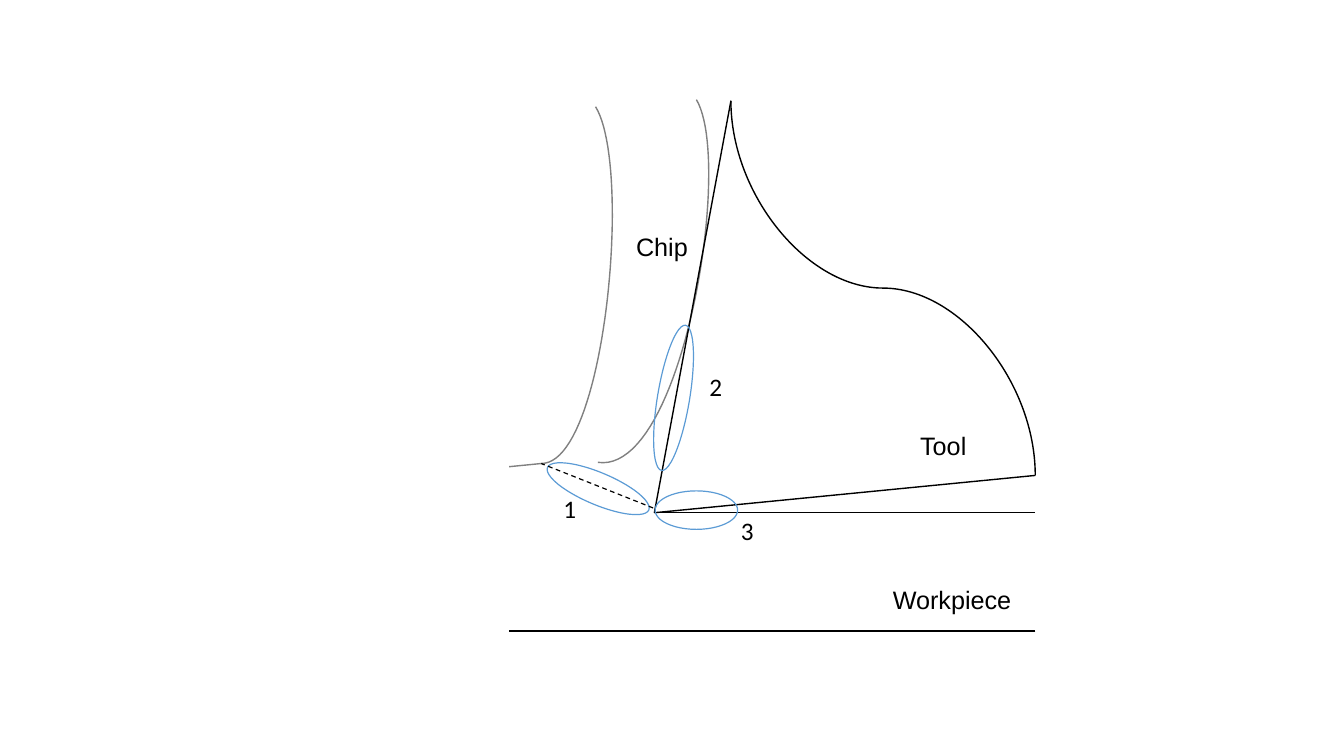
from pptx import Presentation
from pptx.dml.color import RGBColor
from pptx.enum.dml import MSO_LINE
from pptx.enum.shapes import MSO_CONNECTOR, MSO_SHAPE
from pptx.enum.text import MSO_AUTO_SIZE
from pptx.oxml.ns import qn
from pptx.util import Cm, Pt
from lxml import etree

STRAIGHT, CURVED = MSO_CONNECTOR.STRAIGHT, MSO_CONNECTOR.CURVE
ELLIPSE = MSO_SHAPE.OVAL
DASH = MSO_LINE.DASH
FIT_TEXT = MSO_AUTO_SIZE.SHAPE_TO_FIT_TEXT

COLORS = {"tool": "000000", "chip": "808080", "zone": "5B9BD5"}
THIN, NORMAL = 0.85, 1
CURVE_STEPS = 48


def style_line(line, color, width):
    line.color.rgb = RGBColor.from_string(COLORS[color])
    line.width = Pt(width)


def add_line(shapes, box, start, end, color="tool", width=NORMAL, kind=STRAIGHT):
    left, top = box
    edge = shapes.add_connector(kind, Cm(left + start[0]), Cm(top + start[1]),
                                Cm(left + end[0]), Cm(top + end[1]))
    style_line(edge.line, color, width)
    etree.SubElement(edge._element.spPr, qn("a:effectLst"))
    return edge


def bezier_point(controls, t):
    weights = ((1 - t) ** 3, 3 * t * (1 - t) ** 2, 3 * t ** 2 * (1 - t), t ** 3)
    return tuple(sum(w * p[axis] for w, p in zip(weights, controls)) for axis in (0, 1))


def add_chip_edge(shapes, box, controls):
    points = [bezier_point(controls, step / CURVE_STEPS) for step in range(CURVE_STEPS + 1)]
    points = [(Cm(box[0] + x), Cm(box[1] + y)) for x, y in points]
    builder = shapes.build_freeform(*points[0])
    builder.add_line_segments(points[1:], close=False)
    edge = builder.convert_to_shape()
    edge.shadow.inherit = False
    edge.fill.background()
    style_line(edge.line, "chip", NORMAL)


def add_tool_back(shapes, box, peak, heel):
    center_x, center_y = (peak[0] + heel[0]) / 2, (peak[1] + heel[1]) / 2
    half_width, half_height = (heel[1] - peak[1]) / 2, (heel[0] - peak[0]) / 2
    back = add_line(shapes, box, (center_x + half_width, center_y - half_height),
                    (center_x - half_width, center_y + half_height), kind=CURVED)
    back._element.spPr.find(qn("a:xfrm")).set("rot", str(270 * 60000))


def add_zone(shapes, box, x, y, width, height, angle):
    zone = shapes.add_shape(ELLIPSE, Cm(box[0] + x), Cm(box[1] + y), Cm(width), Cm(height))
    zone.rotation = angle
    zone.shadow.inherit = False
    zone.fill.background()
    style_line(zone.line, "zone", THIN)


def add_label(shapes, box, wording, x, y, width, height, font):
    label = shapes.add_textbox(Cm(box[0] + x), Cm(box[1] + y), Cm(width), Cm(height))
    frame = label.text_frame
    frame.word_wrap = True
    frame.auto_size = FIT_TEXT
    run = frame.paragraphs[0].add_run()
    run.text = wording
    run.font.size = Pt(18)
    run.font.name = font
    run.font.color.rgb = RGBColor.from_string(COLORS["tool"])


def draw_cutting_diagram(shapes, box):
    peak, tip, heel = (5.59, 0.03), (3.66, 10.41), (13.26, 9.47)
    chip_root, shear_end = (0.81, 9.17), (3.63, 10.29)
    right, base = heel[0], 13.39

    add_chip_edge(shapes, box, [(2.24, 9.14), (4.37, 9.45), (5.66, 1.57), (4.72, 0)])
    add_line(shapes, box, peak, tip)
    add_line(shapes, box, heel, tip)
    add_tool_back(shapes, box, peak, heel)
    add_chip_edge(shapes, box, [chip_root, (2.41, 9.19), (3.12, 1.73), (2.18, 0.18)])
    add_line(shapes, box, (0, 9.25), chip_root, "chip")
    add_line(shapes, box, tip, (right, tip[1]), width=THIN)
    add_line(shapes, box, (right, base), (0, base), width=THIN)

    for zone in [(0.86, 9.4, 2.77, 0.81, 22.8),
                 (3.68, 9.86, 2.08, 0.97, 0),
                 (2.29, 7.11, 3.71, 0.81, 279.4)]:
        add_zone(shapes, box, *zone)

    for wording, x, y, width, height in [("Tool", 10.11, 8.2, 2.59, 1.52),
                                         ("Chip", 2.95, 3.2, 3.15, 1.52),
                                         ("Workpiece", 9.42, 12.09, 3.78, 1.02)]:
        add_label(shapes, box, wording, x, y, width, height, "Arial")
    for number, (x, y) in enumerate([(1.12, 9.8), (4.8, 6.71), (5.59, 10.34)], 1):
        add_label(shapes, box, str(number), x, y, 0.89, 1.02, "Calibri")

    shear_plane = add_line(shapes, box, shear_end, chip_root, width=THIN)
    shear_plane.line.dash_style = DASH


deck = Presentation()
deck.slide_width, deck.slide_height = Cm(33.87), Cm(19.05)
slide = deck.slides.add_slide(deck.slide_layouts[6])
draw_cutting_diagram(slide.shapes, (12.83, 2.51))
deck.save("out.pptx")
